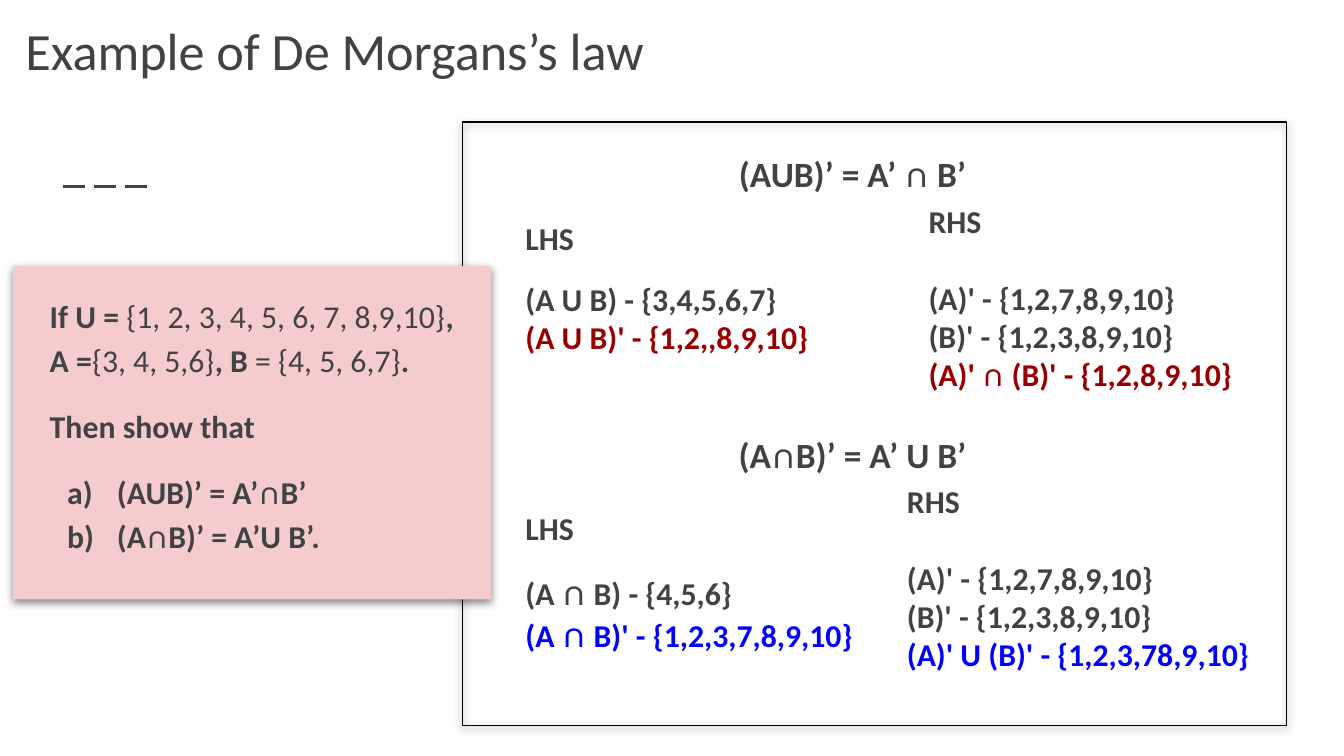
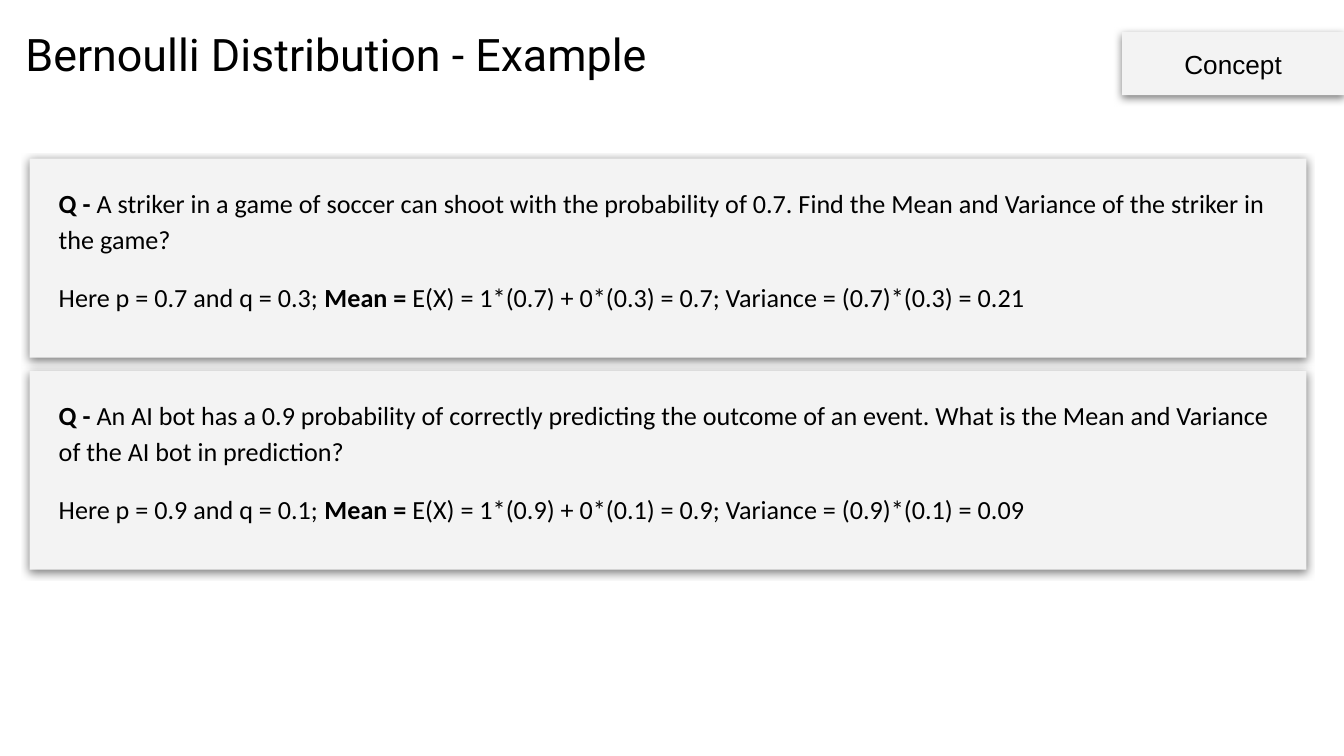
from lxml.etree import SubElement
from pptx import Presentation
from pptx.dml.color import RGBColor
from pptx.enum.dml import MSO_LINE
from pptx.enum.shapes import MSO_CONNECTOR, MSO_SHAPE
from pptx.enum.text import MSO_ANCHOR, MSO_AUTO_SIZE, PP_ALIGN
from pptx.oxml.ns import qn
from pptx.util import Cm, Pt

COLORS = {
    "grey": "424242", "black": "000000", "red": "980000", "blue": "0000FF",
    "pink": "F4CCCC", "light": "F3F3F3", "white": "FFFFFF",
}

# Bold and regular text alternate at each bar, starting with bold.
QUESTION = [
    {"text": "If U = |{1, 2, 3, 4, 5, 6, 7, 8,9,10}|, A =|{3, 4, 5,6}|, B| = {4, 5, 6,7}|."},
    {"text": "Then show that", "before": 12},
    {"text": "(AUB)’ = A’∩B’", "before": 12, "lettered": True},
    {"text": "(A∩B)’ = A’U B’.", "lettered": True},
]

PROOFS = [
    {
        "law": "(AUB)’ = A’ ∩ B’",
        "law_at": (11.81, 2.51, 8.61, 1.14),
        "left": ["(A U B) - {3,4,5,6,7}", "(A U B)' - {1,2,,8,9,10}"],
        "left_at": (9.68, 3.78, 7.54, 4.19),
        "right": ["(A)' - {1,2,7,8,9,10}", "(B)' - {1,2,3,8,9,10}",
                  "(A)' ∩ (B)' - {1,2,8,9,10}"],
        "right_at": (17.3, 3.56, 6.6, 3.73),
        "result": "red",
        "symbol_size": None,
    },
    {
        "law": "(A∩B)’ = A’ U B’",
        "law_at": (11.81, 7.82, 8.61, 1.14),
        "left": ["(A ∩ B) - {4,5,6}", "(A ∩ B)' - {1,2,3,7,8,9,10}"],
        "left_at": (9.68, 9.27, 7.54, 4.19),
        "right": ["(A)' - {1,2,7,8,9,10}", "(B)' - {1,2,3,8,9,10}",
                  "(A)' U (B)' - {1,2,3,78,9,10}"],
        "right_at": (16.89, 8.86, 7.26, 3.73),
        "result": "blue",
        "symbol_size": 19,
    },
]

EXAMPLES = [
    ("Q -| A striker in a game of soccer can shoot with the probability of 0.7. "
     "Find the Mean and Variance of the striker in the game?",
     "|Here p = 0.7 and q = 0.3; |Mean =| E(X) = 1*(0.7) + 0*(0.3) = 0.7; "
     "Variance = (0.7)*(0.3) = 0.21"),
    ("Q -| An AI bot has a 0.9 probability of correctly predicting the outcome of an event. "
     "What is the Mean and Variance of the AI bot in prediction?",
     "|Here p = 0.9 and q = 0.1; |Mean =| E(X) = 1*(0.9) + 0*(0.1) = 0.9; "
     "Variance = (0.9)*(0.1) = 0.09"),
]


def color(name):
    return RGBColor.from_string(COLORS[name])


def place(shape, at):
    shape.left, shape.top, shape.width, shape.height = map(Cm, at)


def set_bullet(para, lettered):
    properties = para._p.get_or_add_pPr()
    properties.set("marL", str(Cm(1.27) if lettered else 0))
    properties.set("indent", str(-Cm(0.94) if lettered else 0))
    if lettered:
        tint = SubElement(properties, qn("a:buClr"))
        SubElement(tint, qn("a:srgbClr"), val=COLORS["grey"])
        SubElement(properties, qn("a:buAutoNum"), type="alphaLcParenR")
    else:
        SubElement(properties, qn("a:buNone"))


def write(shape, paragraphs, size, ink="grey", font="Calibri", spacing=1.0,
          align=PP_ALIGN.LEFT, anchor=MSO_ANCHOR.TOP, symbol_size=None):
    frame = shape.text_frame
    frame.word_wrap = True
    frame.auto_size = MSO_AUTO_SIZE.NONE
    frame.vertical_anchor = anchor
    frame.margin_left = frame.margin_right = Cm(0.25)
    frame.margin_top = frame.margin_bottom = Cm(0.25)
    for index, entry in enumerate(paragraphs):
        para = frame.add_paragraph() if index else frame.paragraphs[0]
        set_bullet(para, entry.get("lettered", False))
        para.alignment = align
        para.line_spacing = entry.get("spacing", spacing)
        para.space_before = Pt(entry.get("before", 0))
        para.space_after = Pt(entry.get("after", 0))
        para.font.name = font
        para.font.size = Pt(size)
        para.font.color.rgb = color(entry.get("ink", ink))
        segments = entry["text"].split("|")
        mixed = len(segments) > 1
        para.font.bold = not mixed and entry.get("bold", True)
        for number, segment in enumerate(segments):
            pieces = segment.partition("∩") if symbol_size else [segment]
            for piece in filter(None, pieces):
                span = para.add_run()
                span.text = piece
                if mixed:
                    span.font.bold = number % 2 == 0
                if symbol_size and piece == "∩":
                    span.font.size = Pt(symbol_size)


def add_text(page, at, paragraphs, size, **style):
    box = page.shapes.add_textbox(*map(Cm, at))
    write(box, paragraphs, size, **style)


def add_panel(page, at, fill=None):
    panel = page.shapes.add_shape(MSO_SHAPE.RECTANGLE, *map(Cm, at))
    if fill:
        panel.fill.solid()
        panel.fill.fore_color.rgb = color(fill)
        panel.line.fill.background()
    else:
        panel.fill.background()
        panel.line.color.rgb = color("black")
        panel.line.width = Pt(0.75)
    panel.shadow.inherit = False
    effects = panel.element.spPr.find(qn("a:effectLst"))
    shadow = SubElement(effects, qn("a:outerShdw"), blurRad=str(Pt(4.5)), dist=str(Pt(1.5)),
                        dir="5400000", algn="bl", rotWithShape="0")
    tint = SubElement(shadow, qn("a:srgbClr"), val=COLORS["black"])
    SubElement(tint, qn("a:alpha"), val="50000")
    return panel


def set_title(page, text, width, size, **style):
    title = page.shapes.title
    place(title, (0.23, 0.18, width, 1.6))
    entry = {"text": text, "bold": False, "after": style.pop("after", 0)}
    write(title, [entry], size, anchor=MSO_ANCHOR.BOTTOM, **style)
    return title


def build_de_morgan(deck):
    page = deck.slides.add_slide(deck.slide_layouts[1])
    title = set_title(page, "Example of De Morgans’s law", 24.08, 28, spacing=1.15, after=16)
    title.fill.solid()
    title.fill.fore_color.rgb = color("white")

    dashes = page.shapes.add_connector(MSO_CONNECTOR.STRAIGHT,
                                       Cm(1.19), Cm(3.53), Cm(2.9), Cm(3.53))
    dashes.line.color.rgb = color("grey")
    dashes.line.width = Pt(1.5)
    dashes.line.dash_style = MSO_LINE.LONG_DASH
    SubElement(dashes.element.spPr, qn("a:effectLst"))
    proof_frame = add_panel(page, (8.74, 2.31, 15.57, 11.4))
    for backdrop in (dashes, proof_frame):
        title.element.addprevious(backdrop.element)

    question = page.placeholders[1]
    panel = add_panel(page, (0.25, 5.03, 9.04, 6.3), "pink")
    question.element.addprevious(panel.element)
    place(question, (0.69, 5.26, 8.61, 5.82))
    write(question, QUESTION, 17, spacing=1.15)

    for proof in PROOFS:
        add_text(page, proof["law_at"], [{"text": proof["law"], "after": 12}], 19,
                 spacing=1.15, align=PP_ALIGN.CENTER)
        for side, heading, gap, spacing in (("left", "LHS", 12, 1.15),
                                            ("right", "RHS", 20.75, 1.0)):
            lines = [{"text": text} for text in proof[side]]
            lines[0]["before"] = gap
            lines[-1]["ink"] = proof["result"]
            add_text(page, proof[side + "_at"], [{"text": heading, "spacing": spacing}] + lines,
                     17, symbol_size=proof["symbol_size"])


def build_bernoulli(deck):
    page = deck.slides.add_slide(deck.slide_layouts[3])
    set_title(page, "Bernoulli Distribution - Example", 14.61, 24, ink="black", font="Roboto")
    tag = add_panel(page, (21.21, 0.61, 4.19, 1.19), "light")
    write(tag, [{"text": "Concept", "bold": False}], 14, ink="black", font="Arial",
          align=PP_ALIGN.CENTER, anchor=MSO_ANCHOR.MIDDLE)
    for index, (problem, answer) in enumerate(EXAMPLES):
        top = 3 + 4.01 * index
        body = page.placeholders[index + 1]
        card = add_panel(page, (0.56, top, 24.13, 3.76), "light")
        body.element.addprevious(card.element)
        place(body, (0.86, top + 0.2, 23.65, 3.18))
        write(body, [{"text": problem}, {"text": answer, "before": 12, "after": 12}],
              14, ink="black", spacing=1.15)


def main():
    deck = Presentation()
    deck.slide_width, deck.slide_height = Cm(25.4), Cm(14.29)
    build_de_morgan(deck)
    build_bernoulli(deck)
    deck.save("out.pptx")


if __name__ == "__main__":
    main()
